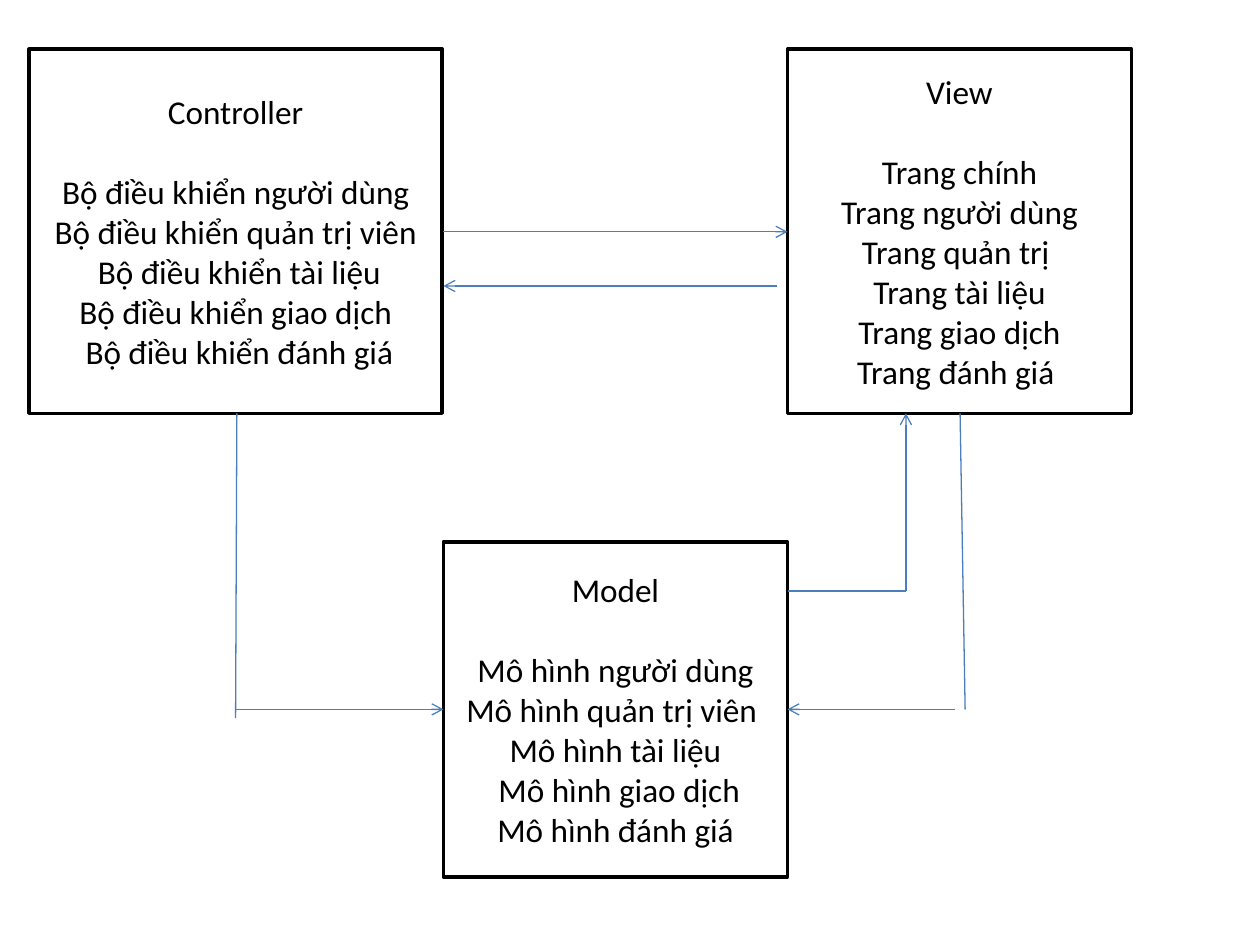
from pptx import Presentation
from pptx.dml.color import RGBColor
from pptx.enum.shapes import MSO_CONNECTOR, MSO_SHAPE
from pptx.enum.text import MSO_ANCHOR, PP_ALIGN
from pptx.oxml.ns import qn
from pptx.util import Inches, Pt
from lxml import etree

BLACK = RGBColor(0x00, 0x00, 0x00)
WHITE = RGBColor(0xFF, 0xFF, 0xFF)
BLUE = RGBColor(0x4B, 0x7E, 0xBC)
RECTANGLE = MSO_SHAPE.RECTANGLE
STRAIGHT = MSO_CONNECTOR.STRAIGHT
MIDDLE = MSO_ANCHOR.MIDDLE
CENTER = PP_ALIGN.CENTER


def add_component(left, top, width, height, title, items):
    """Add a framed box with a heading above its items; return the heading."""
    shape = slide.shapes.add_shape(
        RECTANGLE, Inches(left), Inches(top), Inches(width), Inches(height))
    shape.shadow.inherit = False
    shape.fill.solid()
    shape.fill.fore_color.rgb = WHITE
    shape.line.color.rgb = BLACK
    shape.line.width = Pt(2)
    text_frame = shape.text_frame
    text_frame.word_wrap = True
    text_frame.vertical_anchor = MIDDLE
    text_frame.text = "\n".join([title, *items])
    for paragraph in text_frame.paragraphs:
        paragraph.alignment = CENTER
        font = paragraph.runs[0].font
        font.name = "Calibri"
        font.size = Pt(19)
        font.color.rgb = BLACK
    heading = text_frame.paragraphs[0]
    heading.space_after = Pt(23)
    return heading


def add_line(start, end, arrow):
    connector = slide.shapes.add_connector(
        STRAIGHT, *(Inches(value) for value in (*start, *end)))
    connector.line.color.rgb = BLUE
    connector.line.width = Pt(0.75)
    if arrow:
        line = connector.line._get_or_add_ln()
        etree.SubElement(line, qn("a:tailEnd"), type="arrow")
    etree.SubElement(connector._element.spPr, qn("a:effectLst"))


presentation = Presentation()
presentation.slide_width = Inches(10)
presentation.slide_height = Inches(7.5)
slide = presentation.slides.add_slide(presentation.slide_layouts[6])

add_component(6.25, 0.39, 2.73, 2.89, "View", [
    "Trang chính", "Trang người dùng", "Trang quản trị ",
    "Trang tài liệu", "Trang giao dịch", "Trang đánh giá "])
add_component(0.23, 0.39, 3.28, 2.89, "Controller", [
    "Bộ điều khiển người dùng", "Bộ điều khiển quản trị viên",
    " Bộ điều khiển tài liệu", "Bộ điều khiển giao dịch",
    " Bộ điều khiển đánh giá"])
model_heading = add_component(3.52, 4.3, 2.73, 2.66, "Model", [
    "Mô hình người dùng", "Mô hình quản trị viên ", "Mô hình tài liệu",
    " Mô hình giao dịch", "Mô hình đánh giá"])
# A negative first-line indent moves the centred heading to the left.
model_heading._p.get_or_add_pPr().set("indent", str(-Pt(34)))

# Controller and View
add_line((3.52, 1.84), (6.25, 1.84), True)
add_line((6.17, 2.27), (3.52, 2.27), True)
# Controller to Model
add_line((1.88, 3.28), (1.87, 5.7), False)
add_line((1.87, 5.63), (3.52, 5.63), True)
# View to Model
add_line((7.62, 3.28), (7.66, 5.63), False)
add_line((7.58, 5.63), (6.25, 5.63), True)
# Model to View
add_line((6.25, 4.69), (7.19, 4.69), False)
add_line((7.19, 4.69), (7.19, 3.28), True)

presentation.save("out.pptx")
